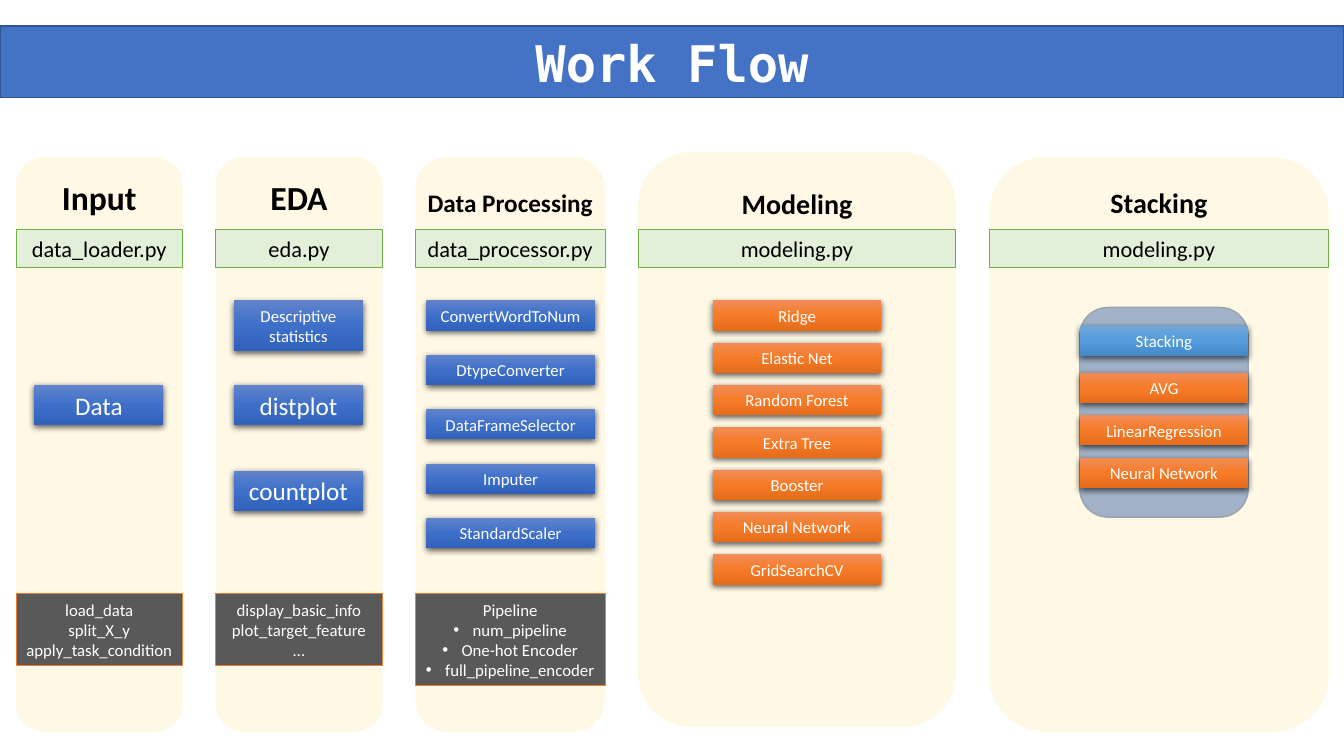
from lxml import etree
from pptx import Presentation
from pptx import util as u
from pptx.dml.color import RGBColor
from pptx.enum import shapes, text
from pptx.oxml.ns import qn

HUES = {
    "white": "FFFFFF", "black": "000000", "cream": "FFF2CC", "navy": "4472C4",
    "edge": "325491", "mint": "E2F0D9", "green": "70AD47", "gray": "595959", "rust": "ED7D31",
}
FADES = {
    "blue": ("6183CB", "3E70CA", "3062BB"),
    "orange": ("F18C57", "F67B28", "E56C19"),
    "sky": ("71A6DB", "559BDB", "448ACA"),
}
PANELS = [
    (0.16, 1.56, 1.65, "Input", 24, 1.71, 0.5, "data_loader.py"),
    (2.14, 1.56, 1.65, "EDA", 24, 1.71, 0.5, "eda.py"),
    (4.12, 1.56, 1.88, "Data Processing", 18, 1.81, 0.4, "data_processor.py"),
    (6.33, 1.51, 3.15, "Modeling", 20, 1.8, 0.44, "modeling.py"),
    (9.81, 1.56, 3.37, "Stacking", 20, 1.79, 0.44, "modeling.py"),
]
STEPS = ["ConvertWordToNum", "DtypeConverter", "DataFrameSelector", "Imputer", "StandardScaler"]
MODELS = ["Ridge", "Elastic Net", "Random Forest", "Extra Tree", "Booster",
          "Neural Network", "GridSearchCV"]
BLENDS = ["AVG", "LinearRegression", "Neural Network"]
NOTES = [
    (0.16, 1.65, 0.71, ["load_data", "split_X_y", "apply_task_condition"], False),
    (2.14, 1.65, 0.71, ["display_basic_info", "plot_target_feature", "…"], False),
    (4.12, 1.88, 0.91, ["Pipeline", "num_pipeline", "One-hot Encoder",
                        "full_pipeline_encoder"], True),
]


def color(name):
    """Return the named colour."""
    return RGBColor.from_string(HUES[name])


def node(parent, tag, **attrs):
    """Append a DrawingML element to its parent."""
    return etree.SubElement(parent, qn("a:" + tag), {k: str(v) for k, v in attrs.items()})


def bullet(para):
    """Give a paragraph a hanging round bullet."""
    props = para._p.get_or_add_pPr()
    props.set("marL", str(u.Inches(0.19)))
    props.set("indent", str(u.Inches(-0.19)))
    node(props, "buFont", typeface="Arial")
    node(props, "buChar", char="•")


def write(shape, lines, size=12, hue="white", bold=False, font="Calibri", dots=False):
    """Fill a shape with centred lines, with bullets after the first if asked."""
    frame = shape.text_frame
    frame.word_wrap = True
    frame.auto_size = text.MSO_AUTO_SIZE.SHAPE_TO_FIT_TEXT
    frame.margin_left = frame.margin_right = u.Inches(0.05)
    for i, line in enumerate(lines):
        para = frame.add_paragraph() if i else frame.paragraphs[0]
        para.alignment = text.PP_ALIGN.CENTER
        if dots and i:
            bullet(para)
        run = para.add_run()
        run.text = line
        run.font.size = u.Pt(size)
        run.font.name = font
        run.font.bold = bold
        run.font.color.rgb = color(hue)


def box(slide, area, fill=None, line=None, width=0.5, rounded=False):
    """Draw a plain or rounded box."""
    kind = shapes.MSO_SHAPE.ROUNDED_RECTANGLE if rounded else shapes.MSO_SHAPE.RECTANGLE
    shape = slide.shapes.add_shape(kind, *map(u.Inches, area))
    shape.shadow.inherit = False
    if fill:
        shape.fill.solid()
        shape.fill.fore_color.rgb = color(fill)
    if line:
        shape.line.color.rgb = color(line)
        shape.line.width = u.Pt(width)
    else:
        shape.line.fill.background()
    return shape


def panel(slide, left, top, width):
    """Draw a half-clear column panel."""
    shape = box(slide, (left, top, width, 5.7), "cream", rounded=True)
    node(shape._element.spPr.find(".//" + qn("a:srgbClr")), "alpha", val=50000)


def head(slide, left, width, title, size, top, height, script):
    """Write a column title above its script bar."""
    area = map(u.Inches, (left, top, width, height))
    write(slide.shapes.add_textbox(*area), [title], size=size, hue="black", bold=True)
    bar = box(slide, (left, 2.28, width, 0.37), "mint", "green")
    write(bar, [script], size=16, hue="black")


def tile(slide, label, left, top, width=1.67, height=0.3, fade="blue", size=12):
    """Draw a shaded tile with a soft shadow."""
    shape = box(slide, (left, top, width, height))
    shape.fill.gradient()
    shape.fill.gradient_angle = 270
    props = shape._element.spPr
    stops = props.find(".//" + qn("a:gsLst"))
    for stop in list(stops):
        stops.remove(stop)
    for i, tone in enumerate(FADES[fade]):
        node(node(stops, "gs", pos=i * 50000), "srgbClr", val=tone)
    glow = node(props.find(qn("a:effectLst")), "outerShdw", blurRad=u.Pt(4.5),
                dist=u.Pt(1.5), dir=5400000, algn="ctr", rotWithShape=0)
    node(node(glow, "srgbClr", val=HUES["black"]), "alpha", val=63000)
    write(shape, [label], size=size)


def stack(slide, labels, left, top, pitch, fade):
    """Draw a column of evenly spaced tiles."""
    for i, label in enumerate(labels):
        tile(slide, label, left, top + i * pitch, fade=fade)


def main():
    """Build the work flow slide."""
    deck = Presentation()
    deck.slide_width, deck.slide_height = u.Inches(13.33), u.Inches(7.5)
    slide = deck.slides.add_slide(deck.slide_layouts[6])
    box(slide, (10.71, 3.05, 1.67, 2.08), "navy", "edge", 1, rounded=True)
    banner = box(slide, (0, 0.26, 13.33, 0.71), "navy", "edge", 1)
    write(banner, ["Work Flow"], size=36, bold=True, font="DejaVu Sans Mono")
    for left, top, width, *rest in PANELS:
        panel(slide, left, top, width)
    for left, top, width, *rest in PANELS:
        head(slide, left, width, *rest)
    for label, left, top in [("Data", 0.34, 3.82), ("distplot", 2.32, 3.82),
                             ("countplot", 2.32, 4.67)]:
        tile(slide, label, left, top, 1.28, 0.4, size=18)
    tile(slide, "Descriptive statistics", 2.32, 2.98, 1.28, 0.5)
    for left, width, height, lines, dots in NOTES:
        note = box(slide, (left, 5.89, width, height), "gray", "rust")
        write(note, lines, dots=dots)
    stack(slide, STEPS, 4.23, 2.98, 0.54, "blue")
    stack(slide, MODELS, 7.07, 2.98, 0.42, "orange")
    stack(slide, BLENDS, 10.71, 3.7, 0.42, "orange")
    tile(slide, "Stacking", 10.71, 3.23, fade="sky")
    deck.save("out.pptx")


main()
